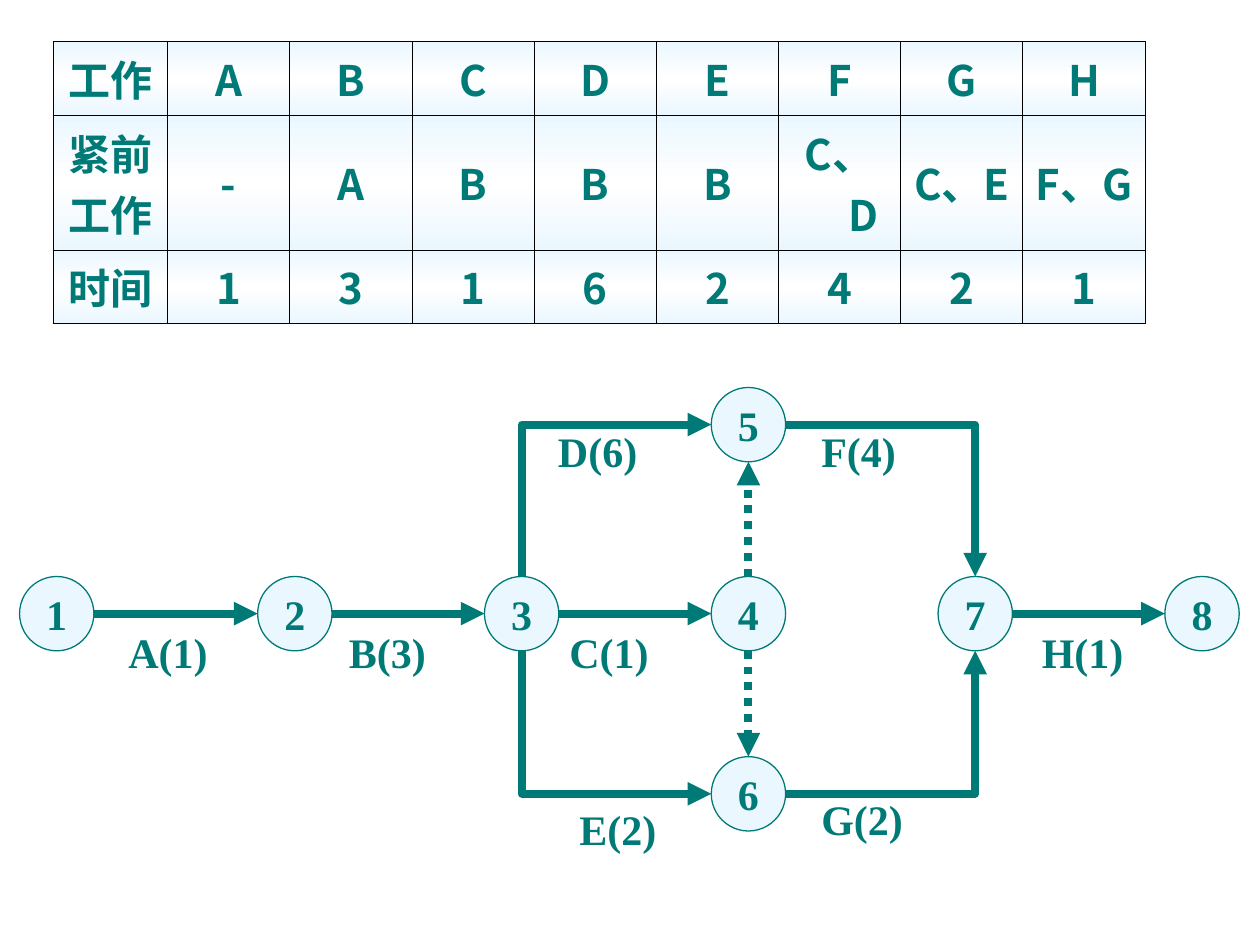
from pptx import Presentation
from pptx.dml.color import RGBColor
from pptx.enum.dml import MSO_LINE
from pptx.enum.shapes import MSO_CONNECTOR, MSO_SHAPE
from pptx.enum.text import MSO_ANCHOR, MSO_AUTO_SIZE, PP_ALIGN
from pptx.oxml import parse_xml
from pptx.oxml.ns import nsdecls, qn
from pptx.oxml.xmlchemy import OxmlElement
from pptx.util import Inches, Pt

TEAL, PALE, WHITE, BLACK = "007A77", "EBF7FF", "FFFFFF", "000000"
SANS, SERIF = "Noto Sans CJK SC", "Times New Roman"
SIZE = 0.59
HALF = SIZE / 2


def paint(code):
    return RGBColor.from_string(code)


class Pen:
    def __init__(self, slide):
        self.slide = slide
        self.shapes = slide.shapes

    def text(self, para, text, font, align=PP_ALIGN.LEFT):
        para.alignment = align
        run = para.add_run()
        run.text = text
        run.font.size = Pt(24)
        run.font.bold = True
        run.font.name = font
        run.font.color.rgb = paint(TEAL)
        asian = OxmlElement("a:ea")
        asian.set("typeface", font)
        run.font._element.append(asian)

    def cell(self, cell, text):
        cell.vertical_anchor = MSO_ANCHOR.MIDDLE
        frame = cell.text_frame
        for num, line in enumerate(text.split("\n")):
            para = frame.add_paragraph() if num else frame.paragraphs[0]
            props = para._p.get_or_add_pPr()
            props.set("marL", str(Inches(0.38)))
            props.set("indent", str(-Inches(0.38)))
            self.text(para, line, SANS, PP_ALIGN.CENTER)
        props = cell._tc.get_or_add_tcPr()
        for side in "LRTB":
            props.append(parse_xml(
                f'<a:ln{side} {nsdecls("a")} w="{Pt(0.45)}"><a:solidFill>'
                f'<a:srgbClr val="{BLACK}"/></a:solidFill></a:ln{side}>'))
        stops = "".join(
            f'<a:gs pos="{pos}"><a:srgbClr val="{code}"/></a:gs>'
            for pos, code in ((0, PALE), (50000, WHITE), (100000, PALE)))
        props.append(parse_xml(
            f'<a:gradFill {nsdecls("a")}><a:gsLst>{stops}</a:gsLst>'
            '<a:lin ang="5400000" scaled="0"/></a:gradFill>'))

    def table(self, left, top, widths, heights, rows):
        table = self.shapes.add_table(
            len(rows), len(widths), Inches(left), Inches(top),
            Inches(sum(widths)), Inches(sum(heights))).table
        table.first_row = table.horz_banding = False
        for col, width in zip(table.columns, widths):
            col.width = Inches(width)
        for row, height, texts in zip(table.rows, heights, rows):
            row.height = Inches(height)
            for cell, text in zip(row.cells, texts):
                self.cell(cell, text)

    def node(self, x, y, text):
        shape = self.shapes.add_shape(
            MSO_SHAPE.OVAL, Inches(x - HALF), Inches(y - HALF),
            Inches(SIZE), Inches(SIZE))
        shape.shadow.inherit = False
        shape.fill.solid()
        shape.fill.fore_color.rgb = paint(PALE)
        shape.line.color.rgb = paint(TEAL)
        shape.line.width = Pt(0.75)
        frame = shape.text_frame
        frame.word_wrap = False
        frame.vertical_anchor = MSO_ANCHOR.MIDDLE
        self.text(frame.paragraphs[0], text, SERIF, PP_ALIGN.CENTER)

    def label(self, x, y, width, text):
        box = self.shapes.add_textbox(
            Inches(x), Inches(y), Inches(width), Inches(0.5))
        frame = box.text_frame
        frame.word_wrap = True
        frame.auto_size = MSO_AUTO_SIZE.SHAPE_TO_FIT_TEXT
        self.text(frame.paragraphs[0], text, SERIF)

    def arrow(self, start, end, kind=MSO_CONNECTOR.STRAIGHT, dash=None):
        link = self.shapes.add_connector(
            kind, *(Inches(val) for val in (*start, *end)))
        link.line.color.rgb = paint(TEAL)
        link.line.width = Pt(4.5)
        if dash:
            link.line.dash_style = dash
        tail = OxmlElement("a:tailEnd")
        tail.set("type", "triangle")
        link.line._get_or_add_ln().append(tail)
        link._element.spPr.append(OxmlElement("a:effectLst"))
        return link

    def bend(self, start, end, turn=0):
        link = self.arrow(start, end, MSO_CONNECTOR.ELBOW)
        props = link._element.spPr
        props.find(qn("a:prstGeom")).set("prst", "bentConnector2")
        if turn:
            props.find(qn("a:xfrm")).set("rot", str(turn * 60000))

    def rise(self, start, end):
        (x1, y1), (x2, y2) = start, end
        midx, midy = (x1 + x2) / 2, (y1 + y2) / 2
        wide, high = abs(y2 - y1) / 2, (x2 - x1) / 2
        sign, turn = (1, 90) if y2 < y1 else (-1, 270)
        self.bend((midx + wide, midy + sign * high),
                  (midx - wide, midy - sign * high), turn)


def main():
    deck = Presentation()
    deck.slide_width, deck.slide_height = Inches(10), Inches(7.5)
    pen = Pen(deck.slides.add_slide(deck.slide_layouts[6]))

    pen.table(0.42, 0.33, [0.91] + [0.97] * 8, [0.58, 1.07, 0.58], [
        ["工作", *"ABCDEFGH"],
        ["紧前\n工作", *"-ABBB", "C、D", "C、E", "F、G"],
        ["时间", *"13162421"],
    ])

    high, mid, low = 3.37, 4.87, 6.3
    spots = {
        "1": (0.45, mid), "2": (2.34, mid), "3": (4.14, mid),
        "4": (5.94, mid), "5": (5.94, high), "6": (5.94, low),
        "7": (7.74, mid), "8": (9.54, mid),
    }

    def edge(name, dx, dy):
        x, y = spots[name]
        return x + dx * HALF, y + dy * HALF

    for first, last in ("12", "23", "34", "78"):
        pen.arrow(edge(first, 1, 0), edge(last, -1, 0))
    for name, way in (("5", -1), ("6", 1)):
        pen.arrow(edge("4", 0, way), edge(name, 0, -way),
                  dash=MSO_LINE.ROUND_DOT)
        pen.rise(edge("3", 0, way), edge(name, -1, 0))
        pen.bend(edge(name, 1, 0), edge("7", 0, way))
    for name, (x, y) in spots.items():
        pen.node(x, y, name)

    for x, y, width, text in (
        (0.92, 4.92, 0.83, "A(1)"), (2.67, 4.92, 0.92, "B(3)"),
        (4.42, 4.92, 0.83, "C(1)"), (4.33, 3.33, 0.92, "D(6)"),
        (4.5, 6.33, 0.83, "E(2)"), (6.42, 3.33, 0.83, "F(4)"),
        (6.42, 6.25, 0.92, "G(2)"), (8.17, 4.92, 0.92, "H(1)"),
    ):
        pen.label(x, y, width, text)

    deck.save("out.pptx")


if __name__ == "__main__":
    main()
